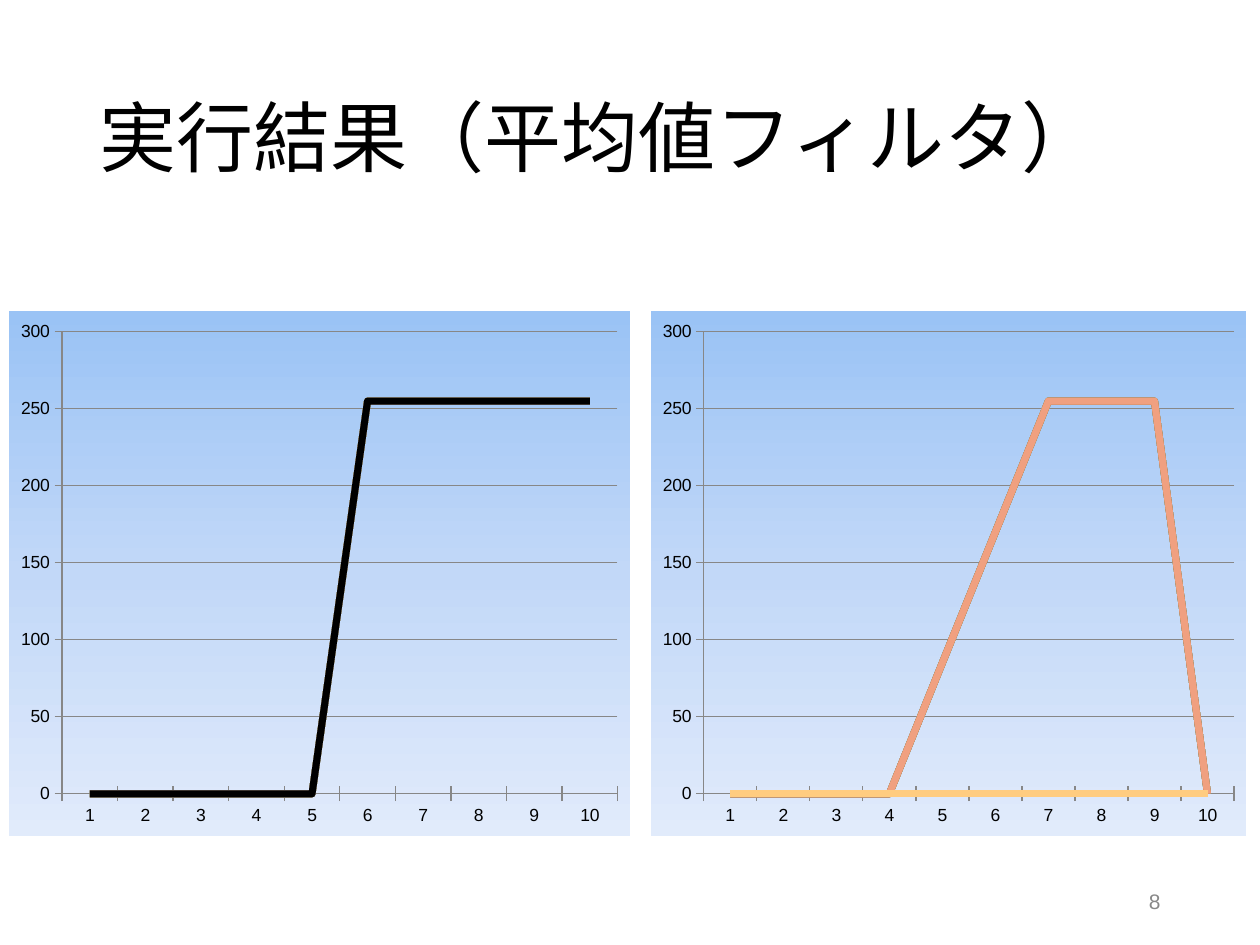
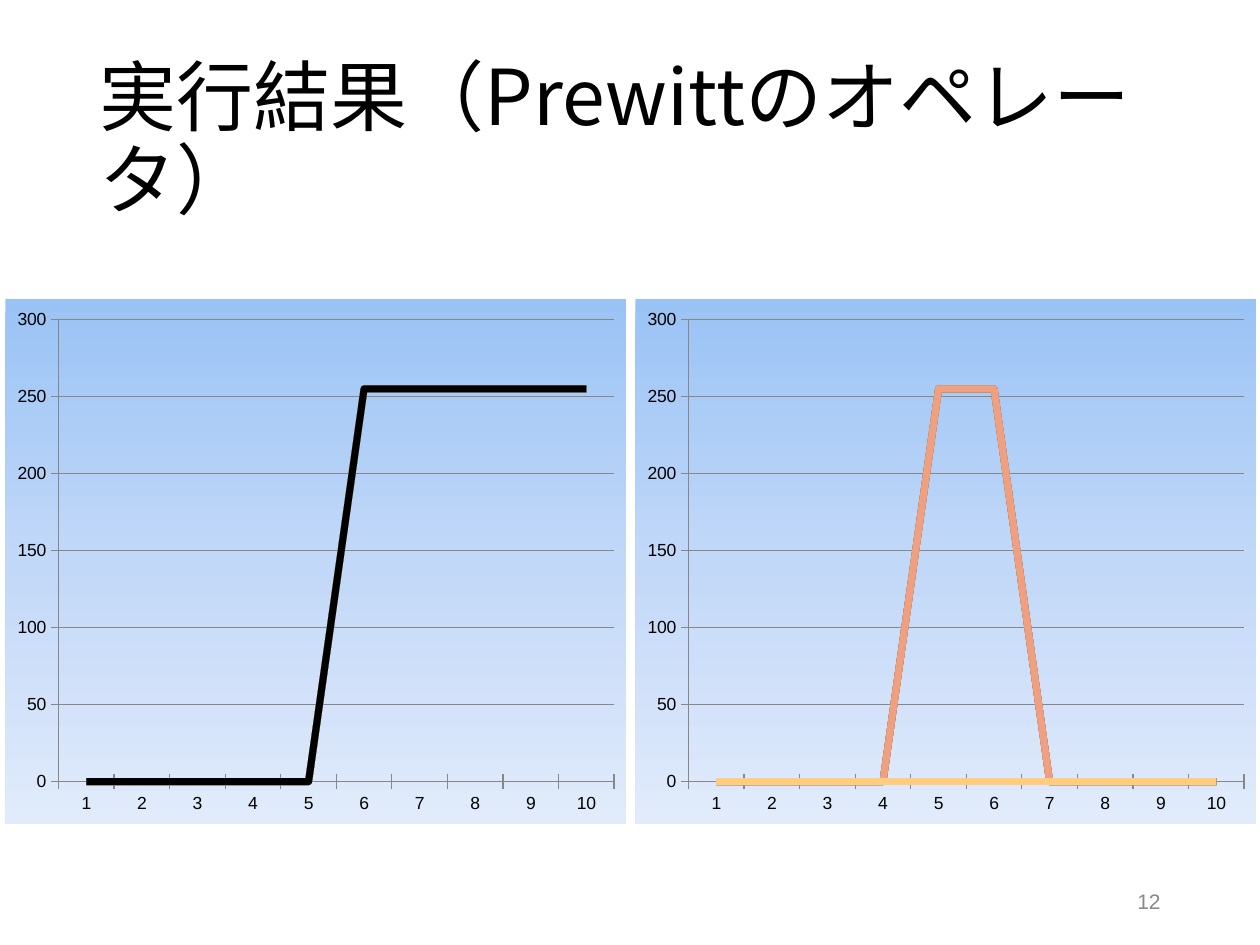
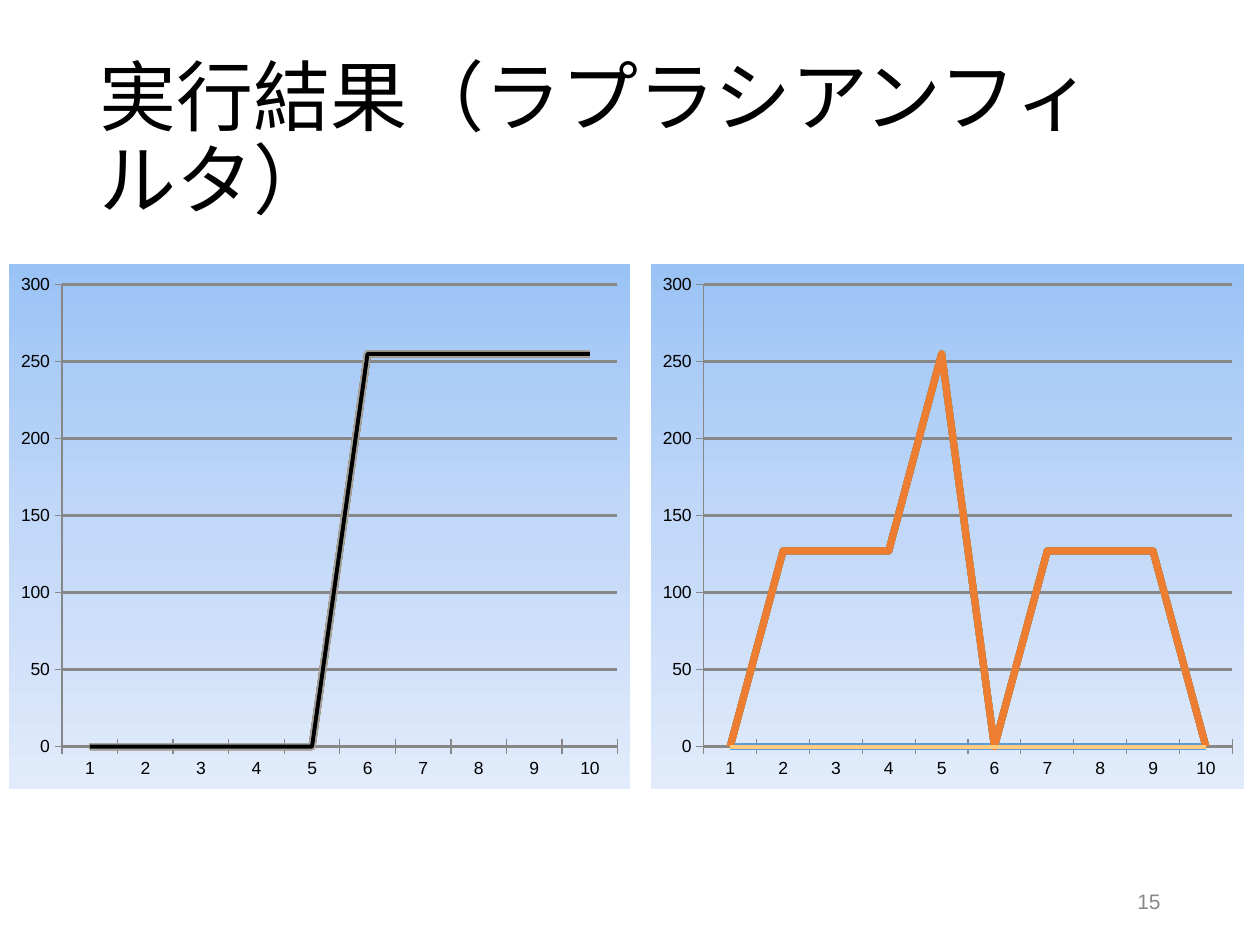
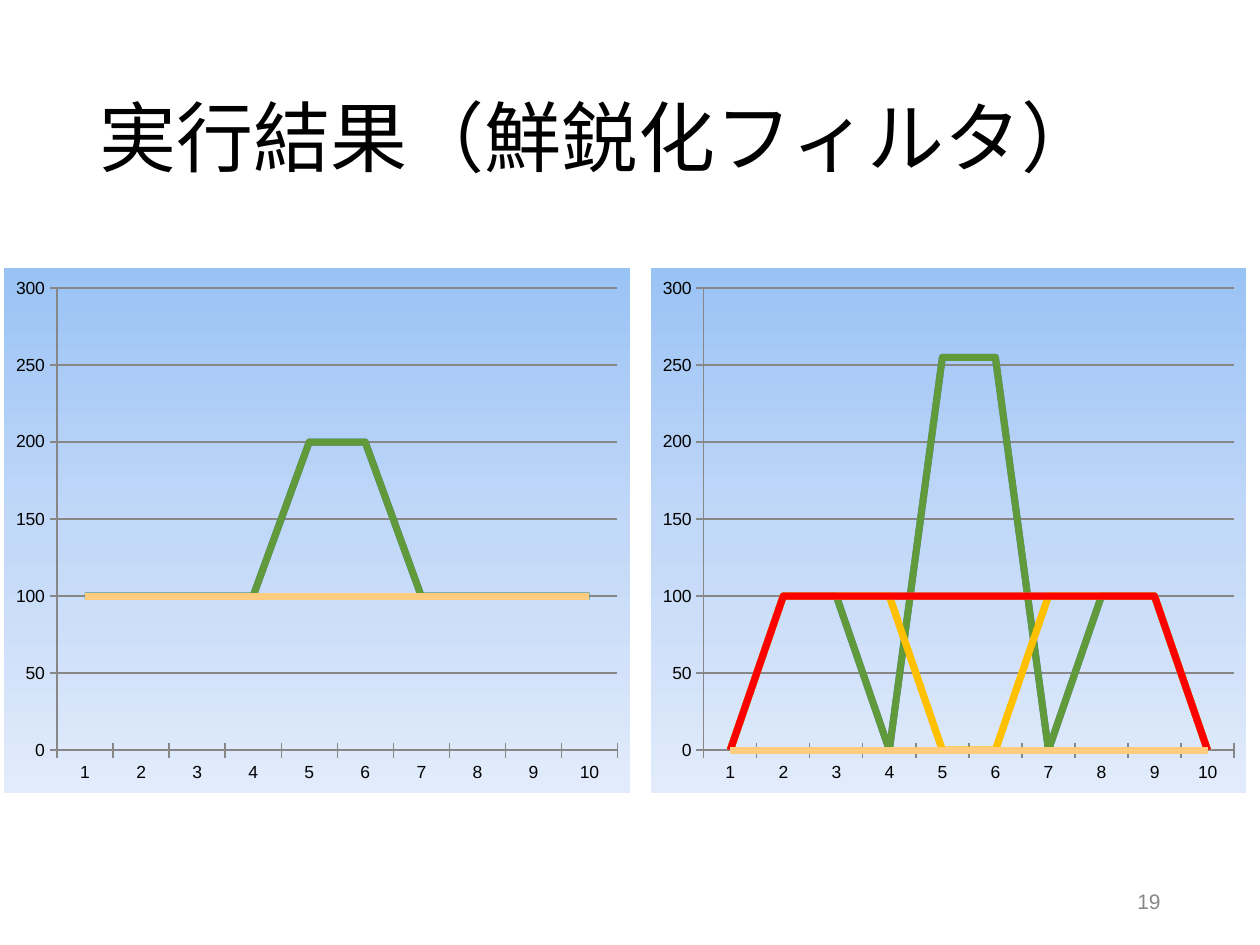
import lxml.etree
import pptx
import pptx.chart.data
import pptx.dml.color
import pptx.enum.chart
import pptx.enum.text
import pptx.oxml
import pptx.oxml.ns
import pptx.util

Pt = pptx.util.Pt

TITLE_FONT, BODY_FONT = "Noto Sans CJK JP", "Arial"
BLACK, GRAY, AXIS, SALMON, SAND, GREEN = (
    "000000", "888888", "878787", "F0A080", "FFCC80", "619A3B")
ORANGE, GOLD, RED = "ED7D31", "FFC000", "FF0000"
ACCENTS = ["5B9BD5", ORANGE, "A5A5A5", GOLD, "4472C4", "70AD47"]
GRADIENT = [(0, "9AC3F5"), (50, "C2D8F8"), (100, "E1EBFB")]

TITLE_BOX = (49.7, 28.8, 620.6, 104.4)
NUMBER_BOX = (508.3, 500.4, 162, 28.8)
CHART_HEIGHT = 300
LINE_WIDTH = 4

# Brightness profiles along ten pixels
FLAT = [0] * 10
STEP = [0] * 5 + [255] * 5
MEAN = [0] * 4 + [85, 170, 255, 255, 255, 0]
PREWITT = [0] * 4 + [255] * 2 + [0] * 4
LAPLACIAN = [0, 127, 127, 127, 255, 0, 127, 127, 127, 0]
GROUND = [100] * 10
BUMP = [100] * 4 + [200] * 2 + [100] * 4
FRAMED = [0] + [100] * 8 + [0]
DIPPED = [0, 100, 100, 100, 0, 0, 100, 100, 100, 0]
SHARPENED = [0, 100, 100, 0, 255, 255, 0, 100, 100, 0]

# Each chart: left, width, rows, {series number: colour}
STEP_ROWS = [STEP] * 10
STEP_COLORS = {10: BLACK}
FILTER_COLORS = {9: SALMON, 10: SAND}
SLIDES = [
    {"title": "実行結果（平均値フィルタ）", "number": 8, "top": 178, "charts": [
        (5, 355, STEP_ROWS, STEP_COLORS),
        (372, 340, [FLAT] + [MEAN] * 8 + [FLAT], FILTER_COLORS)]},
    {"title": "実行結果（Prewittのオペレータ）", "number": 12, "top": 171, "charts": [
        (363, 355, [FLAT] + [PREWITT] * 8 + [FLAT], FILTER_COLORS),
        (3, 355, STEP_ROWS, STEP_COLORS)]},
    {"title": "実行結果（ラプラシアンフィルタ）", "number": 15, "top": 151,
     "grid": 1.25, "last_width": 2.25, "charts": [
         (372, 339, [FLAT] + [LAPLACIAN] * 8 + [FLAT], {9: ORANGE, 10: SAND}),
         (5, 355, STEP_ROWS, STEP_COLORS)]},
    {"title": "実行結果（鮮鋭化フィルタ）", "number": 19, "top": 153,
     "grid": 1.25, "charts": [
         (372, 340, [FLAT, FRAMED, FRAMED, DIPPED, SHARPENED, SHARPENED,
                     DIPPED, FRAMED, FRAMED, FLAT],
          {6: GREEN, 7: GOLD, 9: RED, 10: SAND}),
         (2, 358, [GROUND] * 4 + [BUMP] * 2 + [GROUND] * 4,
          {6: GREEN, 10: SAND})]},
]


def color(value):
    return pptx.dml.color.RGBColor.from_string(value)


def set_all(target, **values):
    for name, value in values.items():
        setattr(target, name, value)


def place(shape, box):
    names = ("left", "top", "width", "height")
    set_all(shape, **{name: Pt(value) for name, value in zip(names, box)})


def write(shape, text, font, size, ink, **para_format):
    frame = shape.text_frame
    set_all(frame, word_wrap=True, auto_size=pptx.enum.text.MSO_AUTO_SIZE.NONE,
            vertical_anchor=pptx.enum.text.MSO_ANCHOR.MIDDLE)
    para = frame.paragraphs[0]
    set_all(para, **para_format)
    span = para.add_run()
    span.text = text
    set_all(span.font, name=font, size=Pt(size))
    span.font.color.rgb = color(ink)
    east_asian = lxml.etree.SubElement(
        span.font._element, pptx.oxml.ns.qn("a:ea"))
    east_asian.set("typeface", font)


def draw_line(line, ink, width):
    line.color.rgb = color(ink)
    line.width = Pt(width)


def fill_chart_area(chart):
    """Put the vertical gradient behind the whole chart."""
    stops = "".join(
        f'<a:gs pos="{position * 1000}"><a:srgbClr val="{ink}"/></a:gs>'
        for position, ink in GRADIENT)
    area = pptx.oxml.parse_xml(
        f'<c:spPr {pptx.oxml.ns.nsdecls("c", "a")}><a:gradFill><a:gsLst>{stops}'
        '</a:gsLst><a:lin ang="5400000" scaled="0"/></a:gradFill>'
        '<a:ln><a:noFill/></a:ln></c:spPr>')
    chart._chartSpace.find(pptx.oxml.ns.qn("c:chart")).addnext(area)


def add_profile_chart(page, box, rows, colors, grid, last_width):
    data = pptx.chart.data.CategoryChartData()
    data.categories = [str(pixel) for pixel in range(1, 11)]
    for number, row in enumerate(rows, 1):
        data.add_series(f"Series {number}", row)
    chart = page.shapes.add_chart(
        pptx.enum.chart.XL_CHART_TYPE.LINE, *map(Pt, box), data).chart
    set_all(chart, has_title=False, has_legend=False)
    set_all(chart.font, name=BODY_FONT, size=Pt(10))
    chart.font.color.rgb = color(BLACK)
    fill_chart_area(chart)

    plot = chart.plots[0]
    plot.vary_by_categories = False
    for number, series in enumerate(plot.series, 1):
        series.smooth = False
        ink = colors.get(number, ACCENTS[(number - 1) % len(ACCENTS)])
        draw_line(series.format.line, ink,
                  last_width if number == len(rows) else LINE_WIDTH)

    set_all(chart.value_axis, minimum_scale=0, maximum_scale=300, major_unit=50,
            has_major_gridlines=True)
    draw_line(chart.value_axis.major_gridlines.format.line, AXIS, grid)
    for axis in (chart.category_axis, chart.value_axis):
        axis.major_tick_mark = pptx.enum.chart.XL_TICK_MARK.CROSS
        draw_line(axis.format.line, AXIS, 0.75)


def add_page(deck, content):
    page = deck.slides.add_slide(deck.slide_layouts.get_by_name("Title Only"))
    align = pptx.enum.text.PP_ALIGN
    place(page.shapes.title, TITLE_BOX)
    write(page.shapes.title, content["title"], TITLE_FONT, 44, BLACK,
          alignment=align.LEFT, line_spacing=0.9)
    number_box = page.shapes.add_textbox(*map(Pt, NUMBER_BOX))
    write(number_box, str(content["number"]), BODY_FONT, 12, GRAY,
          alignment=align.RIGHT)
    for left, width, rows, colors in content["charts"]:
        add_profile_chart(
            page, (left, content["top"], width, CHART_HEIGHT), rows, colors,
            content.get("grid", 0.75), content.get("last_width", LINE_WIDTH))


def main():
    deck = pptx.Presentation()
    set_all(deck, slide_width=Pt(720), slide_height=Pt(540))
    for content in SLIDES:
        add_page(deck, content)
    deck.save("out.pptx")


if __name__ == "__main__":
    main()
